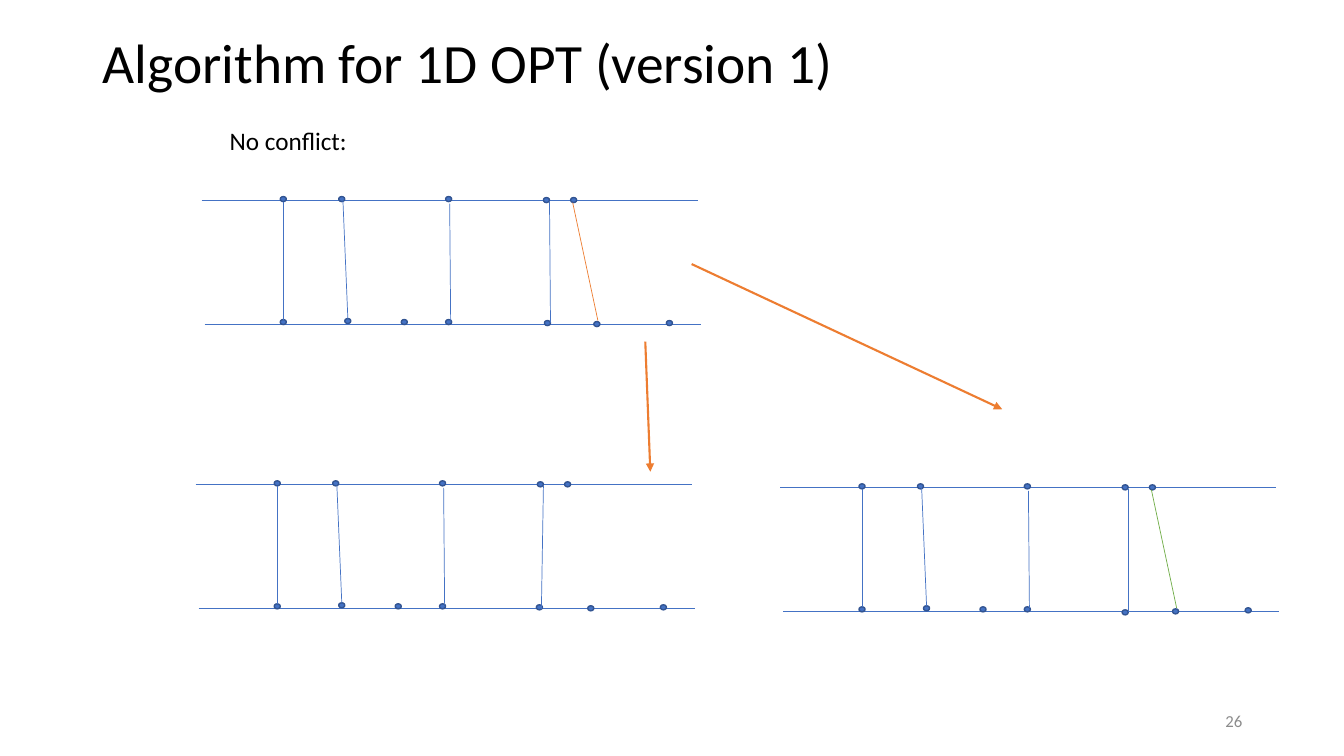
from lxml import etree
from pptx import Presentation
from pptx.dml.color import RGBColor
from pptx.enum.shapes import MSO_CONNECTOR, MSO_SHAPE
from pptx.enum.text import MSO_ANCHOR, MSO_AUTO_SIZE, PP_ALIGN
from pptx.oxml.ns import qn
from pptx.util import Inches, Pt

STRAIGHT = MSO_CONNECTOR.STRAIGHT
OVAL = MSO_SHAPE.OVAL
MIDDLE, TOP = MSO_ANCHOR.MIDDLE, MSO_ANCHOR.TOP
LEFT, RIGHT = PP_ALIGN.LEFT, PP_ALIGN.RIGHT
NO_FIT = MSO_AUTO_SIZE.NONE

TITLE = "Algorithm for 1D OPT (version 1)"
CAPTION = "No conflict:"
PAGE_NUMBER = "26"
FONT = "Calibri"
COLORS = {
    "text": "000000",
    "muted": "8C8C8C",
    "blue": "4472C4",
    "outline": "325491",
    "orange": "ED7D31",
    "green": "70AD47",
}

COLUMNS, ROWS = 13.33, 7.5
CELL = Inches(1)
DOT_WIDTH, DOT_HEIGHT = 0.06, 0.05
AXIS_LENGTH = 4.92
AXIS_STARTS = [(0, 0), (0.03, 1.23)]

UPPER_POINTS = [(0.78, -0.04), (1.36, -0.04), (2.42, -0.04), (3.39, -0.03), (3.66, -0.03)]
LOWER_POINTS = [(0.78, 1.18), (1.42, 1.17), (1.98, 1.18), (2.42, 1.18), (3.89, 1.2), (4.61, 1.19)]
SHARED_MATCHES = [
    ((0.81, 0.01), (0.81, 1.18)),
    ((1.4, -0.03), (1.45, 1.17)),
    ((2.46, 0.03), (2.47, 1.19)),
]
FOURTH_MATCH_START = (3.45, 0.01)
NEW_MATCH = ((3.68, 0.02), (3.93, 1.19))

PANELS = [
    {"origin": (2, 1.99), "fourth_end": (3.46, 1.21), "fourth_point": (3.4, 1.19), "new": "orange"},
    {"origin": (1.94, 4.81), "fourth_end": (3.43, 1.23), "fourth_point": (3.38, 1.19), "new": None},
    {"origin": (7.74, 4.84), "fourth_end": (3.45, 1.23), "fourth_point": (3.39, 1.21), "new": "green"},
]
ARROWS = [((6.4, 3.39), (6.45, 4.68)), ((6.86, 2.62), (9.94, 4.06))]


def grid(*cells):
    return [round(cell * CELL) for cell in cells]


def color(name):
    return RGBColor.from_string(COLORS[name])


def shift(origin, point):
    return origin[0] + point[0], origin[1] + point[1]


def write(shape, text, size, color_name, alignment, anchor, wrap=True):
    frame = shape.text_frame
    frame.text = text
    frame.word_wrap = wrap
    frame.auto_size = NO_FIT
    frame.vertical_anchor = anchor
    paragraph = frame.paragraphs[0]
    paragraph.alignment = alignment
    paragraph.font.name = FONT
    paragraph.font.size = Pt(size)
    paragraph.font.color.rgb = color(color_name)
    return paragraph


def add_line(slide, start, end, color_name, width=0.5, arrow=False):
    line = slide.shapes.add_connector(STRAIGHT, *grid(*start, *end))
    line.line.color.rgb = color(color_name)
    line.line.width = Pt(width)
    properties = line._element.spPr
    if arrow:
        etree.SubElement(properties.find(qn("a:ln")), qn("a:tailEnd"), type="triangle")
    etree.SubElement(properties, qn("a:effectLst"))


def add_dot(slide, corner):
    dot = slide.shapes.add_shape(OVAL, *grid(*corner, DOT_WIDTH, DOT_HEIGHT))
    dot.shadow.inherit = False
    dot.fill.solid()
    dot.fill.fore_color.rgb = color("blue")
    dot.line.color.rgb = color("outline")
    dot.line.width = Pt(1)


def add_panel(slide, panel):
    origin = panel["origin"]
    for axis_start in AXIS_STARTS:
        start = shift(origin, axis_start)
        add_line(slide, start, shift(start, (AXIS_LENGTH, 0)), "blue")
    for point in UPPER_POINTS + LOWER_POINTS + [panel["fourth_point"]]:
        add_dot(slide, shift(origin, point))
    matches = [(match, "blue") for match in SHARED_MATCHES]
    matches.append(((FOURTH_MATCH_START, panel["fourth_end"]), "blue"))
    if panel["new"]:
        matches.append((NEW_MATCH, panel["new"]))
    for (start, end), color_name in matches:
        add_line(slide, shift(origin, start), shift(origin, end), color_name)


def main():
    presentation = Presentation()
    presentation.slide_width, presentation.slide_height = grid(COLUMNS, ROWS)
    slide = presentation.slides.add_slide(presentation.slide_layouts[5])

    title = slide.shapes.title
    title.left, title.top, title.width, title.height = grid(0.92, 0.4, 10.25, 0.5)
    write(title, TITLE, 39.6, "text", LEFT, MIDDLE).line_spacing = 0.9

    caption = slide.shapes.add_textbox(*grid(2.18, 1.19, 1.38, 0.4))
    write(caption, CAPTION, 18, "text", LEFT, TOP, wrap=False)

    for panel in PANELS:
        add_panel(slide, panel)
    for start, end in ARROWS:
        add_line(slide, start, end, "orange", 1.5, arrow=True)

    page_number = slide.shapes.add_textbox(*grid(9.42, 6.95, 3, 0.4))
    write(page_number, PAGE_NUMBER, 12, "muted", RIGHT, MIDDLE)

    presentation.save("out.pptx")


if __name__ == "__main__":
    main()
